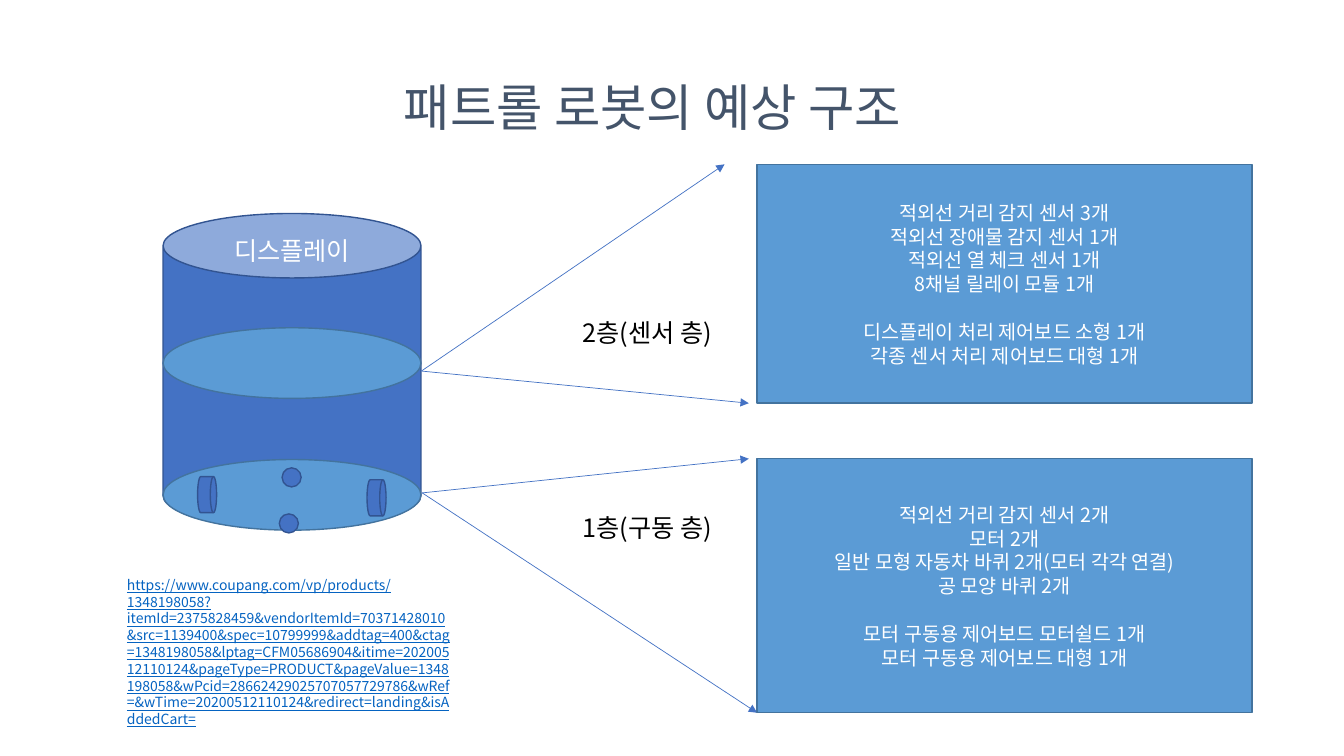
from lxml.etree import SubElement
from pptx import Presentation
from pptx.dml.color import RGBColor
from pptx.enum.shapes import MSO_CONNECTOR as Line, MSO_SHAPE as Preset
from pptx.enum.text import MSO_ANCHOR as Anchor, PP_ALIGN as Align
from pptx.oxml.ns import qn
from pptx.util import Cm, Pt

FONT = "Noto Sans CJK KR"
COLORS = {
    "body": "4472C4", "body_edge": "325491",
    "floor": "5B9BD5", "floor_edge": "43739E",
    "white": "FFFFFF", "black": "000000",
    "title": "44546A", "link": "0563C1",
}
SENSOR_PARTS = [
    ["적외선 거리 감지 센서 3개", "적외선 장애물 감지 센서 1개",
     "적외선 열 체크 센서 1개", "8채널 릴레이 모듈 1개"],
    ["디스플레이 처리 제어보드 소형 1개", "각종 센서 처리 제어보드 대형 1개"],
]
DRIVE_PARTS = [
    ["적외선 거리 감지 센서 2개", "모터 2개",
     "일반 모형 자동차 바퀴 2개(모터 각각 연결)", "공 모양 바퀴 2개"],
    ["모터 구동용 제어보드 모터쉴드 1개", "모터 구동용 제어보드 대형 1개"],
]
SHOP_URL = (
    "https://www.coupang.com/vp/products/1348198058?itemId=2375828459"
    "&vendorItemId=70371428010&src=1139400&spec=10799999&addtag=400"
    "&ctag=1348198058&lptag=CFM05686904&itime=20200512110124"
    "&pageType=PRODUCT&pageValue=1348198058&wPcid=28662429025707057729786"
    "&wRef=&wTime=20200512110124&redirect=landing&isAddedCart="
)


def color(name):
    """Return the named colour."""
    return RGBColor.from_string(COLORS[name])


def write(para, text, size, ink, align=Align.LEFT, spacing=1.2):
    """Fill a paragraph with one styled run."""
    span = para.add_run()
    span.text = text
    para.alignment = align
    para.line_spacing = Pt(round(size * spacing))
    span.font.name = FONT
    span.font.size = Pt(size)
    span.font.color.rgb = color(ink)
    SubElement(span.font._element, qn("a:ea"), typeface=FONT)
    return span


def add_text(page, place, text, size, ink, align=Align.LEFT,
             anchor=Anchor.TOP, spacing=1.2):
    """Add a wrapping text box and return its run."""
    frame = page.shapes.add_textbox(*map(Cm, place)).text_frame
    frame.word_wrap = True
    frame.vertical_anchor = anchor
    return write(frame.paragraphs[0], text, size, ink, align, spacing)


def add_part(page, preset, place, tone):
    """Add a filled and outlined preset shape."""
    shape = page.shapes.add_shape(preset, *map(Cm, place))
    shape.shadow.inherit = False
    shape.fill.solid()
    shape.fill.fore_color.rgb = color(tone)
    shape.line.color.rgb = color(tone + "_edge")
    shape.line.width = Pt(1)
    return shape


def add_parts_list(page, top, height, groups):
    """Add a panel listing groups of parts."""
    panel = add_part(page, Preset.RECTANGLE, (19.08, top, 12.47, height), "floor")
    frame = panel.text_frame
    frame.word_wrap = True
    frame.vertical_anchor = Anchor.MIDDLE
    para = frame.paragraphs[0]
    for group_index, group in enumerate(groups):
        for item_index, item in enumerate(group):
            if group_index or item_index:
                para = frame.add_paragraph()
            if group_index and not item_index:
                para.space_before = Pt(17)
            write(para, item, 14, "white", Align.CENTER)


def add_arrow(page, start, end):
    """Add a thin arrow between two points."""
    arrow = page.shapes.add_connector(Line.STRAIGHT, *map(Cm, start + end))
    arrow.line.color.rgb = color("body")
    arrow.line.width = Pt(0.5)
    SubElement(arrow.line._get_or_add_ln(), qn("a:tailEnd"), type="triangle")
    SubElement(arrow._element.spPr, qn("a:effectLst"))


def add_robot(page):
    """Draw the robot body with its floors and wheels."""
    add_part(page, Preset.CAN, (4.11, 5.38, 6.5, 7.92), "body")
    add_text(page, (4.11, 5.48, 6.5, 1.63), "디스플레이", 18, "white",
             Align.CENTER, Anchor.MIDDLE)
    for top in (8.26, 11.58):
        add_part(page, Preset.OVAL, (4.11, top, 6.5, 1.78), "floor")
    for left, top in ((4.98, 12.01), (9.25, 12.09)):
        add_part(page, Preset.FLOWCHART_DIRECT_ACCESS_STORAGE,
                 (left, top, 0.48, 0.91), "body")
    for left, top in ((7.04, 12.95), (7.11, 11.79)):
        add_part(page, Preset.OVAL, (left, top, 0.48, 0.48), "body")


def main():
    """Build and save the slide."""
    deck = Presentation()
    deck.slide_width, deck.slide_height = Cm(33.87), Cm(19.05)
    page = deck.slides.add_slide(deck.slide_layouts[6])
    add_text(page, (2.79, 0.79, 27.31, 2.79), "패트롤 로봇의 예상 구조", 36,
             "title", Align.CENTER, Anchor.BOTTOM, 1.08)
    add_robot(page)
    fans = {
        (10.62, 9.35): [(18.26, 4.14), (18.87, 10.16)],
        (10.64, 12.42): [(18.87, 11.56), (19.08, 17.96)],
    }
    for start, ends in fans.items():
        for end in ends:
            add_arrow(page, start, end)
    for top, label in ((7.85, "2층(센서 층)"), (12.78, "1층(구동 층)")):
        add_text(page, (14.43, top, 4.04, 1.02), label, 18, "black")
    add_parts_list(page, 4.14, 6.02, SENSOR_PARTS)
    add_parts_list(page, 11.56, 6.4, DRIVE_PARTS)
    link = add_text(page, (2.95, 14.4, 8.66, 3.68), SHOP_URL, 10, "link")
    link.font.underline = True
    deck.save("out.pptx")


if __name__ == "__main__":
    main()
